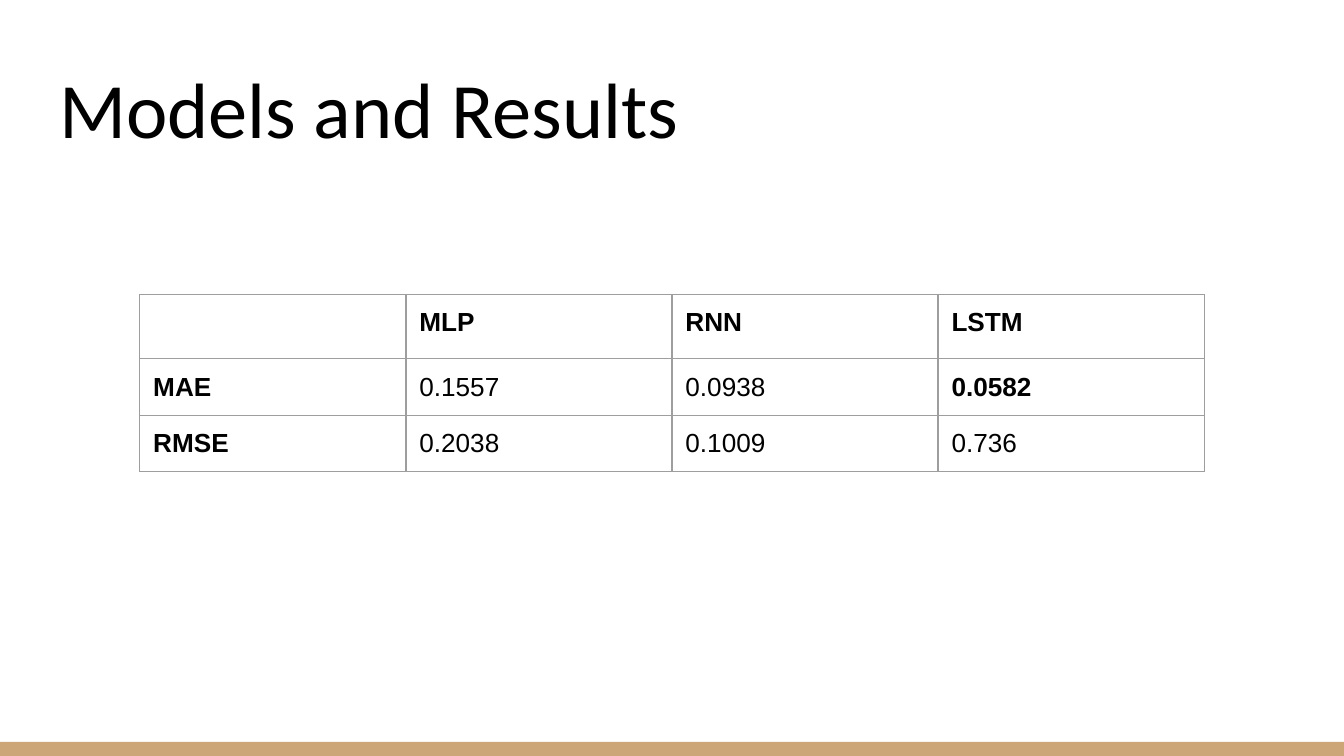
from lxml.etree import SubElement
from pptx import Presentation
from pptx.dml.color import RGBColor
from pptx.enum.shapes import MSO_SHAPE
from pptx.enum.text import MSO_ANCHOR, PP_ALIGN
from pptx.oxml.ns import qn
from pptx.util import Inches, Pt


def color(value):
    return RGBColor.from_string(value)


class SlideBuilder:
    ink = "000000"
    accent = "CCA677"
    grid = "9E9E9E"
    inset = Inches(0.1)

    def __init__(self, prs):
        self.s = prs.slides.add_slide(prs.slide_layouts[5])

    def run(self, p, text, font, size, bold=False):
        r = p.add_run()
        r.text = text
        r.font.name = font
        r.font.size = Pt(size)
        r.font.bold = bold
        r.font.color.rgb = color(self.ink)

    def pad(self, box):
        box.margin_left = box.margin_right = self.inset
        box.margin_top = box.margin_bottom = self.inset

    def title(self, text, left, top, width, height):
        sp = self.s.shapes.title
        sp.left, sp.top = Inches(left), Inches(top)
        sp.width, sp.height = Inches(width), Inches(height)
        tf = sp.text_frame
        self.pad(tf)
        tf.word_wrap = True
        tf.vertical_anchor = MSO_ANCHOR.BOTTOM
        p = tf.paragraphs[0]
        p.alignment = PP_ALIGN.LEFT
        self.run(p, text, "Calibri", 42)

    def bar(self, left, top, width, height):
        sp = self.s.shapes.add_shape(
            MSO_SHAPE.RECTANGLE, Inches(left), Inches(top), Inches(width), Inches(height))
        sp.shadow.inherit = False
        sp.fill.solid()
        sp.fill.fore_color.rgb = color(self.accent)
        sp.line.fill.background()

    def borders(self, cell):
        tcPr = cell._tc.get_or_add_tcPr()
        for i, side in enumerate(("a:lnL", "a:lnR", "a:lnT", "a:lnB")):
            ln = tcPr.makeelement(qn(side), {"w": str(Pt(0.75))})
            fill = SubElement(ln, qn("a:solidFill"))
            SubElement(fill, qn("a:srgbClr"), val=self.grid)
            tcPr.insert(i, ln)

    def table(self, rows, left, top, col_width, row_heights, bold_cells):
        cols = len(rows[0])
        table = self.s.shapes.add_table(
            len(rows), cols, Inches(left), Inches(top),
            Inches(cols * col_width), Inches(sum(row_heights))).table
        for col in table.columns:
            col.width = Inches(col_width)
        for i, (row, height) in enumerate(zip(rows, row_heights)):
            table.rows[i].height = Inches(height)
            for j, text in enumerate(row):
                cell = table.cell(i, j)
                cell.fill.background()
                self.borders(cell)
                if text:
                    self.pad(cell)
                    bold = i == 0 or j == 0 or (i, j) in bold_cells
                    self.run(cell.text_frame.paragraphs[0], text, "Arial", 14, bold)


def main():
    prs = Presentation()
    prs.slide_width = Inches(10)
    prs.slide_height = prs.slide_width * 9 // 16
    slide = SlideBuilder(prs)
    slide.bar(0, 5.52, 10, 0.11)
    slide.title("Models and Results", 0.34, 0.34, 9.32, 0.91)
    results = [
        ["", "MLP", "RNN", "LSTM"],
        ["MAE", "0.1557", "0.0938", "0.0582"],
        ["RMSE", "0.2038", "0.1009", "0.736"],
    ]
    slide.table(results, 1.04, 2.19, 1.98, [0.48, 0.42, 0.42], {(1, 3)})
    prs.save("out.pptx")


if __name__ == "__main__":
    main()
